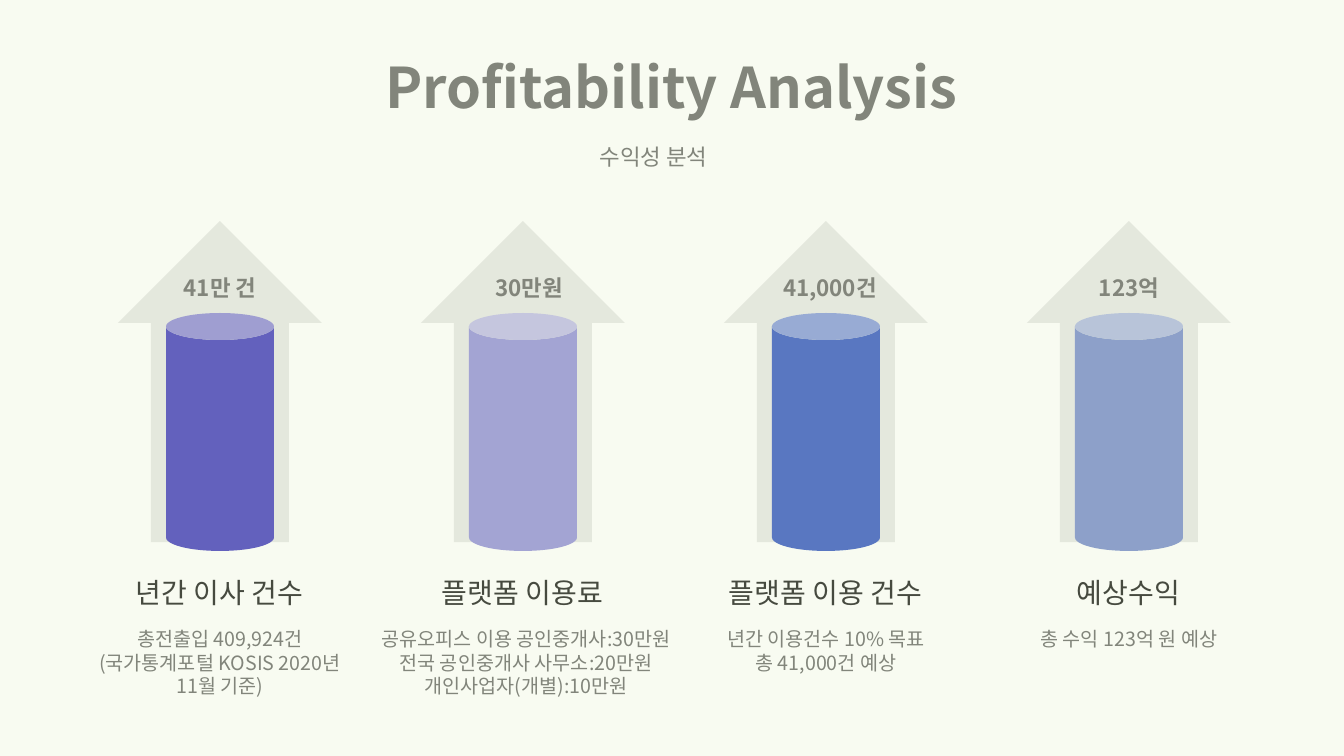
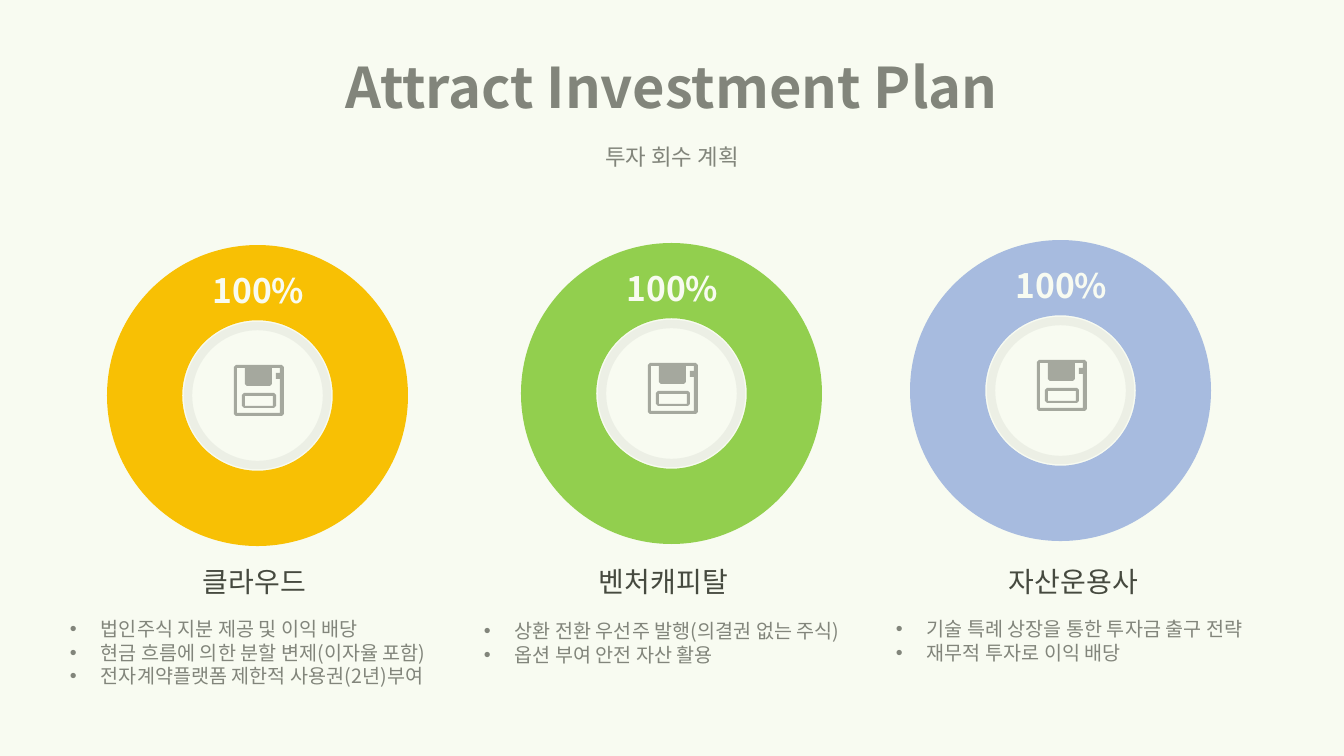
from lxml import etree
from pptx import Presentation
from pptx.dml.color import RGBColor
from pptx.enum.shapes import MSO_SHAPE
from pptx.enum.text import MSO_AUTO_SIZE, PP_ALIGN
from pptx.oxml.ns import qn
from pptx.util import Pt

PX = 914400 / 100.8
WIDTH, HEIGHT = 1344, 756
FONT = "Noto Sans CJK KR"
GRAY, DARK, WHITE = "808080", "404040", "FFFFFF"
ARROW_GRAY, RING_GRAY, ICON_GRAY = "EAEAEA", "F2F2F2", "A6A6A6"
TINT, TINT_ALPHA = "9FCE3E", "7000"
RECTANGLE, OVAL, DONUT = MSO_SHAPE.RECTANGLE, MSO_SHAPE.OVAL, MSO_SHAPE.DONUT
UP_ARROW, CAN = MSO_SHAPE.UP_ARROW, MSO_SHAPE.CAN
CENTER, LEFT = PP_ALIGN.CENTER, PP_ALIGN.LEFT
NO_AUTOFIT = MSO_AUTO_SIZE.NONE
INDENT = 31


def write_text(shape, box, lines, size, color=GRAY, bold=False, bullets=False):
    shape.left, shape.top, shape.width, shape.height = [round(value * PX) for value in box]
    text_frame = shape.text_frame
    text_frame.word_wrap = True
    text_frame.auto_size = NO_AUTOFIT
    text_frame.text = "\n".join(lines)
    for paragraph in text_frame.paragraphs:
        properties = paragraph._p.get_or_add_pPr()
        indent = round(INDENT * PX) if bullets else 0
        properties.set("marL", str(indent))
        properties.set("indent", str(-indent))
        if bullets:
            etree.SubElement(properties, qn("a:buFont")).set("typeface", "Arial")
            etree.SubElement(properties, qn("a:buChar")).set("char", "•")
        else:
            etree.SubElement(properties, qn("a:buNone"))
        paragraph.alignment = LEFT if bullets else CENTER
        paragraph.space_before = Pt(0)
        for run in paragraph.runs:
            run.font.size = Pt(size)
            run.font.bold = bold
            run.font.color.rgb = RGBColor.from_string(color)
            run.font.name = FONT
            etree.SubElement(run._r.get_or_add_rPr(), qn("a:ea")).set("typeface", FONT)


def paint(shape, color):
    shape.shadow.inherit = False
    shape.fill.solid()
    shape.fill.fore_color.rgb = RGBColor.from_string(color)
    shape.line.fill.background()


presentation = Presentation()
presentation.slide_width = round(WIDTH * PX)
presentation.slide_height = round(HEIGHT * PX)

slides = []
for title, subtitle, subtitle_left, subtitle_width in [
    ("Profitability Analysis", "수익성 분석", 144, 1019),
    ("Attract Investment Plan", "투자 회수 계획", 89, 1166),
]:
    slide = presentation.slides.add_slide(presentation.slide_layouts[1])
    write_text(slide.shapes.title, (89, 36, 1165, 101), [title], 40, bold=True)
    write_text(slide.placeholders[1], (subtitle_left, 138, subtitle_width, 41), [subtitle], 16)
    slides.append(slide)
profit_slide, investment_slide = slides

columns = [
    ("41만 건", 0, "5F59C7", "년간 이사 건수", 0, 274,
     ["총전출입 409,924건", "(국가통계포털 KOSIS 2020년 11월 기준)"]),
    ("30만원", 6, "A4A1DF", "플랫폼 이용료", 3, 373,
     ["공유오피스 이용 공인중개사:30만원", "전국 공인중개사 사무소:20만원", "개인사업자(개별):10만원"]),
    ("41,000건", 4, "5471CC", "플랫폼 이용 건수", 0, 274,
     ["년간 이용건수 10% 목표", "총 41,000건 예상"]),
    ("123억", 0, "8C9DD4", "예상수익", 0, 274, ["총 수익 123억 원 예상"]),
]
shapes = profit_slide.shapes
for index, (value, value_shift, color, heading, detail_shift, detail_width, details) in enumerate(columns):
    center = 220 + 303 * index
    arrow = shapes.add_shape(
        UP_ARROW, round((center - 102) * PX), round(221 * PX), round(204 * PX), round(321 * PX))
    arrow.adjustments[0] = 0.676
    arrow.adjustments[1] = 0.5
    paint(arrow, ARROW_GRAY)
    can = shapes.add_shape(
        CAN, round((center - 54) * PX), round(313 * PX), round(108 * PX), round(238 * PX))
    paint(can, color)
    for box, lines, size, text_color, bold in [
        ((center + value_shift - 70, 269, 140, 37), [value], 16, GRAY, True),
        ((center - 171, 571, 341, 44), [heading], 20, DARK, False),
        ((center + detail_shift - detail_width / 2, 622, detail_width, 82), details, 14, GRAY, False),
    ]:
        write_text(shapes.add_textbox(0, 0, 0, 0), box, lines, size, text_color, bold)

disk_body = [
    [(2, 0), (48, 0), (50, 2), (50, 49), (48, 51), (2, 51), (0, 49), (0, 2)],
    [(46, 14), (46, 48), (3, 48), (3, 3), (11, 3), (11, 19), (13, 21),
     (36, 21), (38, 19), (38, 3), (46, 3), (46, 8), (42, 8), (42, 14)],
]
disk_label = [
    [(10, 28), (40, 28), (42, 30), (42, 41), (40, 43), (10, 43), (8, 41), (8, 30)],
    [(11, 31), (39, 31), (39, 41), (11, 41)],
]
investors = [
    (107, 245, "FFC000", "클라우드", 84, (60, 612, 400, 82),
     ["법인주식 지분 제공 및 이익 배당", "현금 흐름에 의한 분할 변제(이자율 포함)",
      "전자계약플랫폼 제한적 사용권(2년)부여"]),
    (521, 243, "92D050", "벤처캐피탈", 493, (474, 614, 405, 57),
     ["상환 전환 우선주 발행(의결권 없는 주식)", "옵션 부여 안전 자산 활용"]),
    (910, 240, "A8BAEC", "자산운용사", 903, (886, 612, 407, 57),
     ["기술 특례 상장을 통한 투자금 출구 전략", "재무적 투자로 이익 배당"]),
]
shapes = investment_slide.shapes
for left, top, color, heading, heading_left, list_box, items in investors:
    write_text(shapes.add_textbox(0, 0, 0, 0), (heading_left, 560, 341, 44), [heading], 20, DARK)
    write_text(shapes.add_textbox(0, 0, 0, 0), list_box, items, 14, bullets=True)
    donut = shapes.add_shape(
        DONUT, round(left * PX), round(top * PX), round(301 * PX), round(301 * PX))
    paint(donut, color)
    hub = shapes.add_shape(
        OVAL, round((left + 81) * PX), round((top + 81) * PX), round(139 * PX), round(139 * PX))
    paint(hub, WHITE)
    hub.line.color.rgb = RGBColor.from_string(RING_GRAY)
    hub.line.width = Pt(6)
    write_text(shapes.add_textbox(0, 0, 0, 0), (left + 64, top + 20, 175, 50),
               ["100%"], 24, WHITE, True)
    for outline, hole in (disk_body, disk_label):
        contours = [[(left + 127 + x, top + 120 + y) for x, y in contour]
                    for contour in (outline, hole)]
        builder = shapes.build_freeform(*contours[0][0], scale=PX)
        builder.add_line_segments(contours[0][1:], close=True)
        builder.move_to(*contours[1][0])
        builder.add_line_segments(contours[1][1:], close=True)
        paint(builder.convert_to_shape(), ICON_GRAY)

for slide in slides:
    tint = slide.shapes.add_shape(
        RECTANGLE, 0, 0, presentation.slide_width, presentation.slide_height)
    paint(tint, TINT)
    tint_color = tint._element.spPr.find(qn("a:solidFill")).find(qn("a:srgbClr"))
    etree.SubElement(tint_color, qn("a:alpha")).set("val", TINT_ALPHA)

presentation.save("out.pptx")
